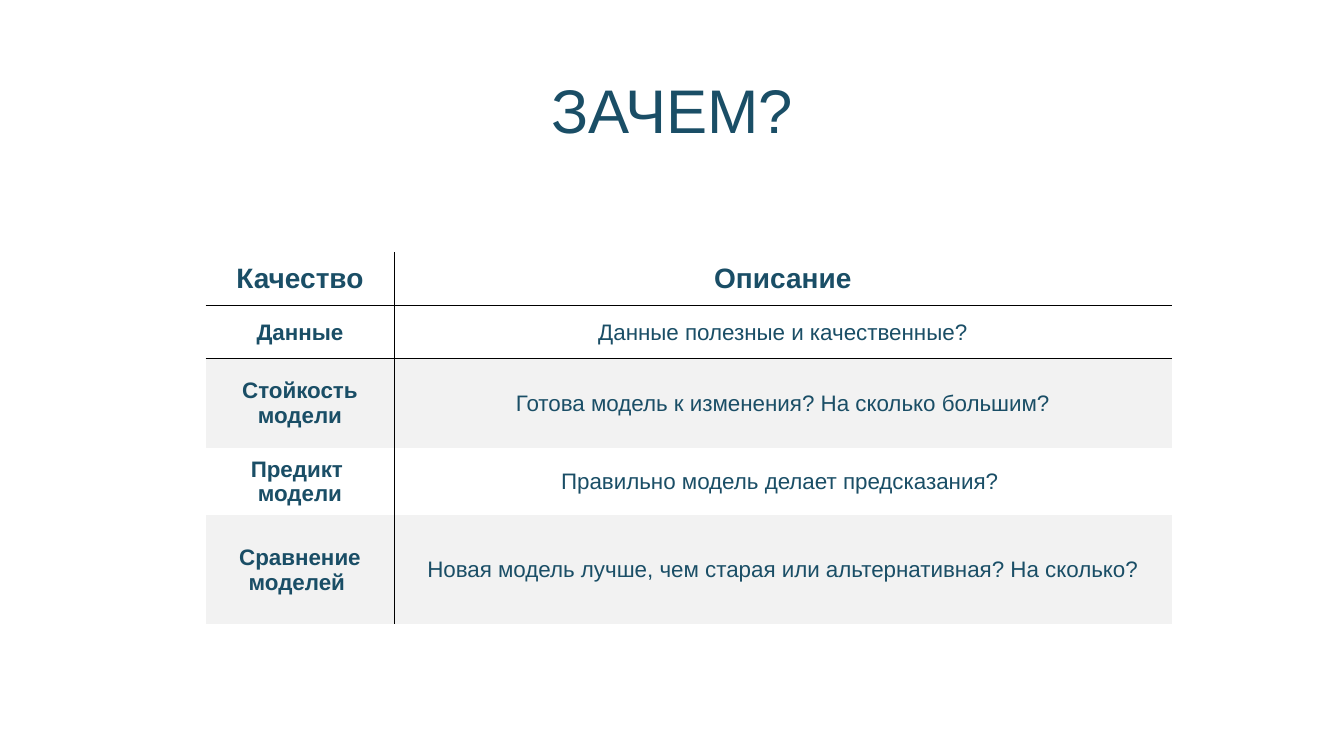
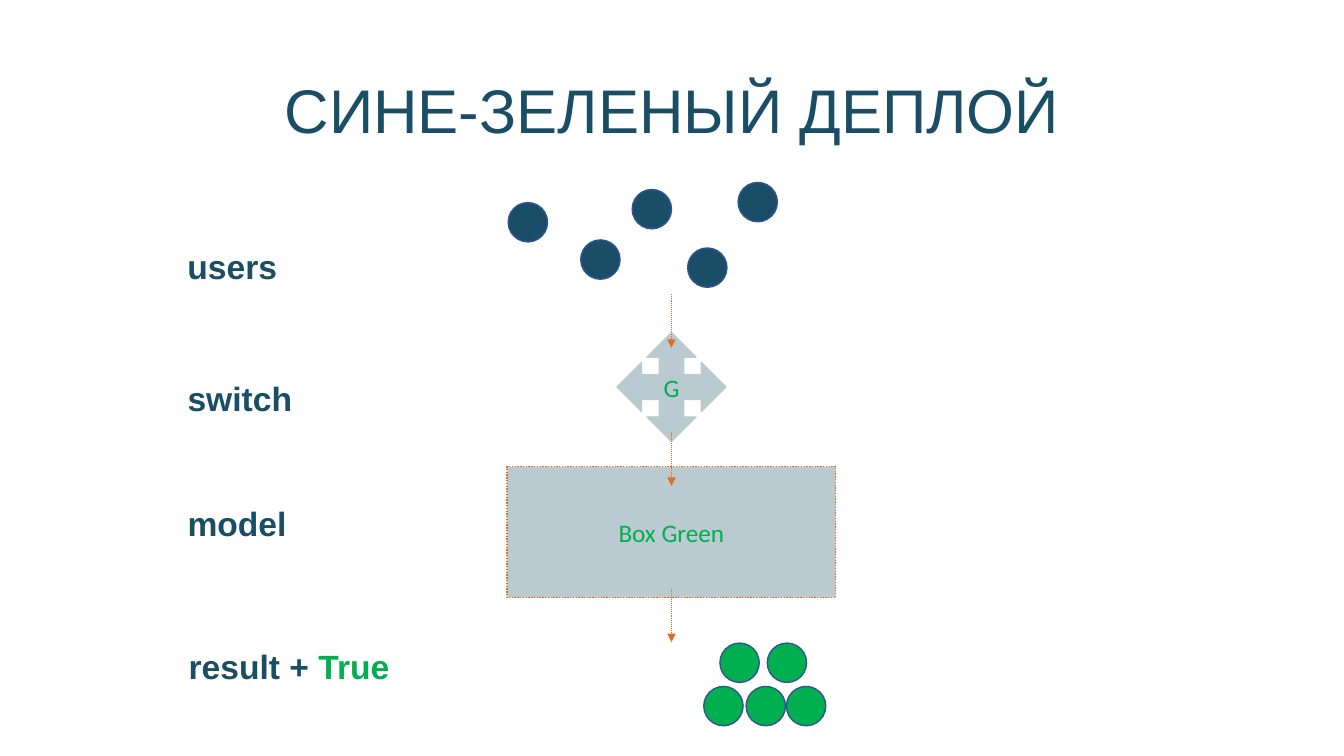
"""Build two slides on model quality and blue-green deployment."""
from typing import NamedTuple

from lxml.etree import SubElement
from pptx import Presentation
from pptx.dml.color import RGBColor
from pptx.enum.dml import MSO_LINE
from pptx.enum.shapes import MSO_CONNECTOR, MSO_SHAPE
from pptx.enum.text import MSO_ANCHOR, PP_ALIGN
from pptx.oxml import parse_xml
from pptx.oxml.ns import nsdecls, qn
from pptx.presentation import Presentation as Deck
from pptx.shapes.autoshape import Shape
from pptx.slide import Slide
from pptx.text.text import _Paragraph as Paragraph
from pptx.util import Inches, Pt

NAVY = "1A4E66"
GREEN = "00B050"
MIST = "BACAD1"
ORANGE = "E26C22"
OUTLINE = "325491"
BAND = "F2F2F2"
BLACK = "000000"
NO_GRID_STYLE = "{2D5ABB26-0587-4C30-8999-92F81FD0307C}"
CIRCLE_SIZE = 0.39
ARROW_LENGTH = 0.53
FLOW_X = 6.66


class Frame(NamedTuple):
    """Left, top, width and height in inches."""
    left: float
    top: float
    width: float
    height: float

    def lengths(self) -> list[Inches]:
        """Return the four measures as lengths."""
        return [Inches(value) for value in self]


class Label(NamedTuple):
    """A stage name with an optional green ending."""
    frame: Frame
    text: str
    accent: str = ""


class Circles(NamedTuple):
    """Equal circles of one colour, by their top left corners."""
    color: str
    corners: list[tuple[float, float]]


class Node(NamedTuple):
    """A stage shape with its caption."""
    kind: MSO_SHAPE
    frame: Frame
    text: str


class Row(NamedTuple):
    """A table row with its height in inches."""
    height: float
    quality: str
    description: str


COLUMN_WIDTHS = [1.87, 7.71]
ROWS = [
    Row(0.53, "Качество", "Описание"),
    Row(0.53, "Данные", "Данные полезные и качественные?"),
    Row(0.88, "Стойкость модели", "Готова модель к изменения? На сколько большим?"),
    Row(0.67, "Предикт \vмодели", "Правильно модель делает предсказания? "),
    Row(1.08, "Сравнение моделей ",
        "Новая модель лучше, чем старая или альтернативная? На сколько?"),
]
LABELS = [
    Label(Frame(1.86, 2.27, 0.9, 0.53), "users"),
    Label(Frame(1.86, 3.58, 1.05, 0.53), "switch"),
    Label(Frame(1.86, 4.82, 0.99, 0.53), "model"),
    Label(Frame(1.87, 6.24, 2.01, 0.53), "result + ", "True"),
]
SWITCH = Node(MSO_SHAPE.QUAD_ARROW, Frame(6.12, 3.3, 1.08, 1.08), "G")
MODEL = Node(MSO_SHAPE.RECTANGLE, Frame(5.03, 4.63, 3.26, 1.3), "Box Green")
ARROW_TOPS = [2.92, 4.29, 5.84]
USERS = Circles(NAVY, [(5.04, 2.01), (5.76, 2.38), (6.27, 1.88), (6.82, 2.46), (7.32, 1.81)])
RESULTS = Circles(GREEN, [(6.98, 6.81), (7.4, 6.81), (7.8, 6.81), (7.14, 6.38), (7.61, 6.38)])


def rgb(color: str) -> RGBColor:
    """Turn a hex string into a colour."""
    return RGBColor.from_string(color)


def style_paragraph(para: Paragraph, size: float, color: str, name: str = "Arial",
                    bold: bool = False, align: PP_ALIGN = PP_ALIGN.CENTER) -> None:
    """Set the font and alignment of a paragraph."""
    para.alignment = align
    para.font.name = name
    para.font.size = Pt(size)
    para.font.bold = bold
    para.font.color.rgb = rgb(color)


def add_page(deck: Deck, title: str) -> Slide:
    """Add a page with the shared title style."""
    page = deck.slides.add_slide(deck.slide_layouts[5])
    box = page.shapes.title
    box.left, box.top, box.width, box.height = Frame(0.92, 0.4, 11.5, 1.45).lengths()
    box.text_frame.text = title
    box.text_frame.vertical_anchor = MSO_ANCHOR.MIDDLE
    para = box.text_frame.paragraphs[0]
    para.line_spacing = 0.9
    style_paragraph(para, 44, NAVY)
    return page


def add_shape(page: Slide, kind: MSO_SHAPE, frame: Frame, fill: str, line: str) -> Shape:
    """Add a flat preset shape."""
    shape = page.shapes.add_shape(kind, *frame.lengths())
    shape.shadow.inherit = False
    shape.fill.solid()
    shape.fill.fore_color.rgb = rgb(fill)
    shape.line.color.rgb = rgb(line)
    shape.line.width = Pt(1)
    return shape


def add_node(page: Slide, node: Node, line: str) -> Shape:
    """Add a captioned stage shape."""
    shape = add_shape(page, node.kind, node.frame, MIST, line)
    shape.text_frame.text = node.text
    shape.text_frame.vertical_anchor = MSO_ANCHOR.MIDDLE
    style_paragraph(shape.text_frame.paragraphs[0], 18, GREEN, "Calibri")
    return shape


def add_circles(page: Slide, circles: Circles) -> None:
    """Add a cluster of circles."""
    for left, top in circles.corners:
        frame = Frame(left, top, CIRCLE_SIZE, CIRCLE_SIZE)
        add_shape(page, MSO_SHAPE.OVAL, frame, circles.color, OUTLINE)


def add_arrow(page: Slide, top: float) -> None:
    """Add a dotted arrow pointing down the flow."""
    arrow = page.shapes.add_connector(
        MSO_CONNECTOR.STRAIGHT, Inches(FLOW_X), Inches(top),
        Inches(FLOW_X), Inches(top + ARROW_LENGTH))
    arrow.line.color.rgb = rgb(ORANGE)
    arrow.line.width = Pt(0.75)
    arrow.line.dash_style = MSO_LINE.ROUND_DOT
    line = arrow.element.xpath(".//a:ln")[0]
    SubElement(line, qn("a:tailEnd"), type="triangle")
    SubElement(line.getparent(), qn("a:effectLst"))


def add_label(page: Slide, label: Label) -> None:
    """Add a stage name at the left."""
    text = page.shapes.add_textbox(*label.frame.lengths()).text_frame
    text.margin_left = text.margin_right = text.margin_top = text.margin_bottom = 0
    text.word_wrap = False
    text.vertical_anchor = MSO_ANCHOR.MIDDLE
    para = text.paragraphs[0]
    para.line_spacing = 1.5
    style_paragraph(para, 24, NAVY, bold=True, align=PP_ALIGN.LEFT)
    para.add_run().text = label.text
    if label.accent:
        span = para.add_run()
        span.text = label.accent
        span.font.color.rgb = rgb(GREEN)


def add_borders(properties, sides: list[str]) -> None:
    """Draw black lines on the given sides of a cell."""
    for index, side in enumerate(sides):
        properties.insert(index, parse_xml(
            f'<a:ln{side} {nsdecls("a")} w="{Pt(1)}"><a:solidFill>'
            f'<a:srgbClr val="{BLACK}"/></a:solidFill></a:ln{side}>'))


def add_quality_table(page: Slide) -> None:
    """Add the table of qualities and their descriptions."""
    height = sum(row.height for row in ROWS)
    frame = Frame(2.04, 2.5, sum(COLUMN_WIDTHS), height)
    holder = page.shapes.add_table(len(ROWS), len(COLUMN_WIDTHS), *frame.lengths())
    holder.element.xpath(".//a:tableStyleId")[0].text = NO_GRID_STYLE
    table = holder.table
    for column, width in zip(table.columns, COLUMN_WIDTHS):
        column.width = Inches(width)
    for row_index, row in enumerate(ROWS):
        table.rows[row_index].height = Inches(row.height)
        for column_index, text in enumerate((row.quality, row.description)):
            cell = table.cell(row_index, column_index)
            cell.margin_left = cell.margin_right = cell.margin_top = Inches(0.01)
            cell.margin_bottom = 0
            cell.vertical_anchor = MSO_ANCHOR.MIDDLE
            cell.text = text
            is_header = row_index == 0
            style_paragraph(cell.text_frame.paragraphs[0], 20 if is_header else 16, NAVY,
                            bold=is_header or column_index == 0)
            if row_index and row_index % 2 == 0:
                cell.fill.solid()
                cell.fill.fore_color.rgb = rgb(BAND)
            else:
                cell.fill.background()
    for index, properties in enumerate(holder.element.xpath(".//a:tcPr")):
        row_index, column_index = divmod(index, len(COLUMN_WIDTHS))
        sides = ["L" if column_index else "R"]
        if row_index < 2:
            sides.append("T" if row_index else "B")
        add_borders(properties, sides)


def add_deployment_flow(page: Slide) -> None:
    """Add the flow from users to results."""
    add_node(page, SWITCH, MIST)
    add_node(page, MODEL, ORANGE).line.dash_style = MSO_LINE.ROUND_DOT
    for top in ARROW_TOPS:
        add_arrow(page, top)
    for label in LABELS:
        add_label(page, label)
    for circles in (USERS, RESULTS):
        add_circles(page, circles)


def main() -> None:
    """Build and save the deck."""
    deck = Presentation()
    deck.slide_width = Inches(13.33)
    deck.slide_height = Inches(7.5)
    add_quality_table(add_page(deck, "ЗАЧЕМ?"))
    add_deployment_flow(add_page(deck, "СИНЕ-ЗЕЛЕНЫЙ ДЕПЛОЙ"))
    deck.save("out.pptx")


if __name__ == "__main__":
    main()
